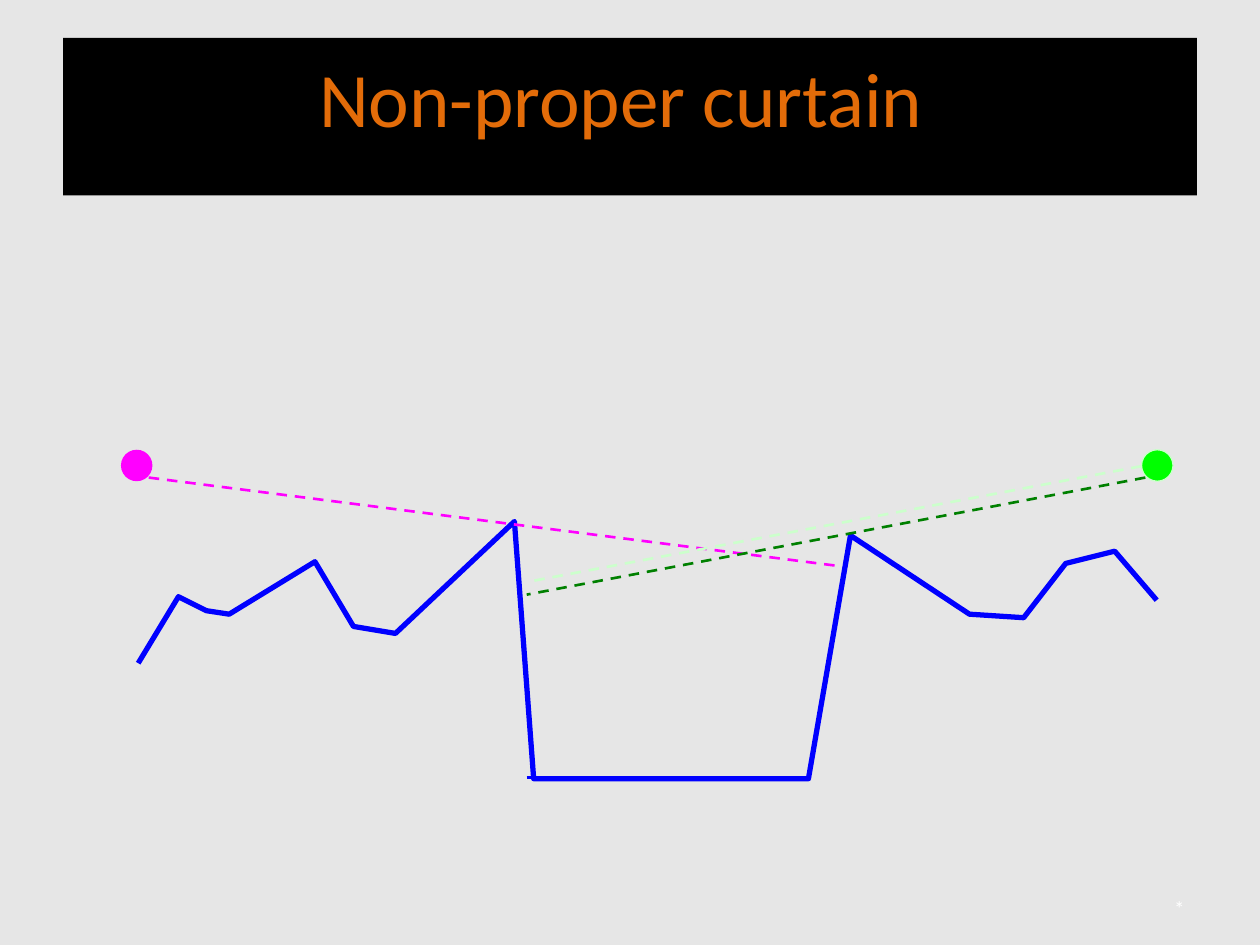
"""Build the slide on a non-proper curtain over a terrain profile."""
from pptx import Presentation
from pptx.dml.color import RGBColor
from pptx.enum.dml import MSO_LINE
from pptx.enum.shapes import MSO_CONNECTOR, MSO_SHAPE
from pptx.enum.text import MSO_ANCHOR, PP_ALIGN
from pptx.oxml.ns import qn
from pptx.util import Pt
from lxml import etree

DASH = MSO_LINE.DASH
STRAIGHT = MSO_CONNECTOR.STRAIGHT
OVAL = MSO_SHAPE.OVAL
TOP, MIDDLE = MSO_ANCHOR.TOP, MSO_ANCHOR.MIDDLE
CENTER, LEFT = PP_ALIGN.CENTER, PP_ALIGN.LEFT

COLORS = {
    "background": "E6E6E6", "banner": "000000", "title": "E36C09",
    "marker": "FFFFFF", "terrain": "0000FF", "left view": "FF00FF",
    "right guard": "00FF00", "pale view": "CCFFCC", "right view": "008000",
}
GUARD_SIZE = 18
TERRAIN = [
    (79.2, 379.4), (102.2, 340.6), (118, 349.2), (131, 350.6),
    (180, 321.1), (201.6, 357.8), (226, 362.2), (293.8, 298),
    (304.6, 444.9), (462.2, 444.9), (486, 306), (554.4, 350.6),
    (585.4, 352.8), (609.1, 321.8), (637.2, 314.6), (661, 342.7),
]


class CurtainSlide:
    """Hold the style and the current slide, and draw each kind of element."""

    def __init__(self, slide, font="Calibri"):
        self.slide = slide
        self.shapes = slide.shapes
        self.font = font
        self.paint(slide.background.fill, "background")

    def paint(self, fill, color):
        fill.solid()
        fill.fore_color.rgb = RGBColor.from_string(COLORS[color])

    def outline(self, line, color, width):
        self.paint(line.fill, color)
        line.width = Pt(width)

    def label(self, holder, text, size, color, align, anchor, inset):
        frame = holder.text_frame
        frame.text = text
        layout = {
            "word_wrap": True, "vertical_anchor": anchor,
            "margin_left": Pt(7.2), "margin_right": Pt(7.2),
            "margin_top": Pt(inset), "margin_bottom": Pt(inset),
        }
        for attribute, value in layout.items():
            setattr(frame, attribute, value)
        paragraph = frame.paragraphs[0]
        paragraph.alignment = align
        run_font = paragraph.runs[0].font
        for attribute, value in {"name": self.font, "size": Pt(size)}.items():
            setattr(run_font, attribute, value)
        self.paint(run_font.fill, color)

    def title(self, text, left, top, width, height):
        banner = self.shapes.title
        box = {"left": left, "top": top, "width": width, "height": height}
        for attribute, value in box.items():
            setattr(banner, attribute, Pt(value))
        self.paint(banner.fill, "banner")
        self.label(banner, text, 44, "title", CENTER, TOP, 7.2)

    def footer(self, text, left, top, width, height):
        marker = self.shapes.add_textbox(Pt(left), Pt(top), Pt(width), Pt(height))
        self.label(marker, text, 12, "marker", LEFT, MIDDLE, 3.6)

    def guard(self, left, top, color, edge=None):
        dot = self.shapes.add_shape(
            OVAL, Pt(left), Pt(top), Pt(GUARD_SIZE), Pt(GUARD_SIZE))
        dot.shadow.inherit = False
        self.paint(dot.fill, color)
        if edge:
            self.outline(dot.line, edge, 0.75)
        else:
            dot.line.fill.background()

    def profile(self, points, color, width):
        builder = self.shapes.build_freeform(*points[0], scale=Pt(1))
        builder.add_line_segments(points[1:], close=False)
        terrain = builder.convert_to_shape()
        terrain.shadow.inherit = False
        terrain.fill.background()
        self.outline(terrain.line, color, width)

    def segment(self, start, end, color, dash=None):
        sight = self.shapes.add_connector(
            STRAIGHT, *(Pt(value) for value in (*start, *end)))
        self.outline(sight.line, color, 1.5)
        if dash:
            sight.line.dash_style = dash
        etree.SubElement(sight._element.spPr, qn("a:effectLst"))


def main():
    deck = Presentation()
    deck.slide_width, deck.slide_height = Pt(720), Pt(540)
    curtain = CurtainSlide(deck.slides.add_slide(deck.slide_layouts[5]))
    curtain.footer("*", 663.8, 509, 20.9, 20.2)
    curtain.title("Non-proper curtain ", 36, 21.6, 648, 90)
    curtain.guard(69.1, 257, "left view")
    curtain.guard(652.3, 257, "right guard", "pale view")
    curtain.segment((301, 444.2), (462.2, 444.2), "terrain")
    curtain.profile(TERRAIN, "terrain", 3)
    curtain.segment((85, 272.9), (478.1, 323.3), "left view", DASH)
    curtain.segment((652.3, 266.4), (301, 332.6), "pale view", DASH)
    curtain.segment((654.5, 272.9), (301, 339.8), "right view", DASH)
    deck.save("out.pptx")


if __name__ == "__main__":
    main()
